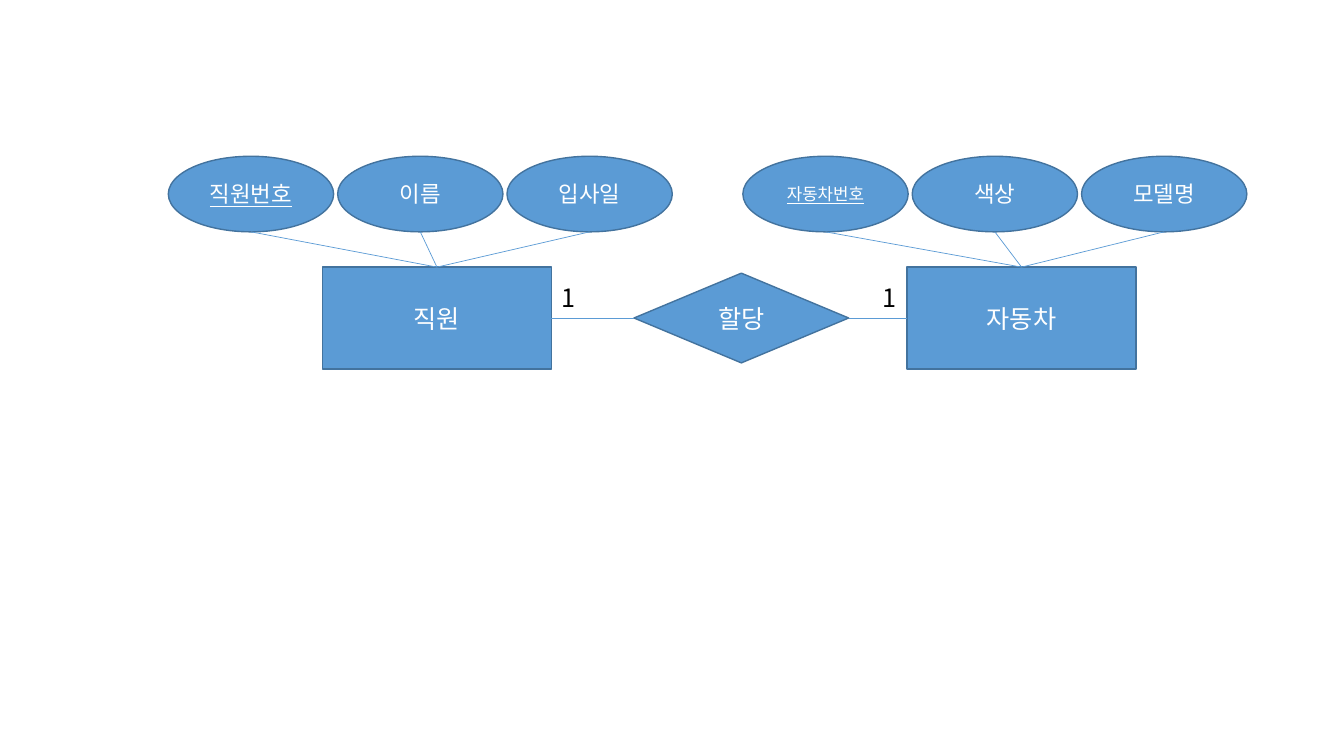
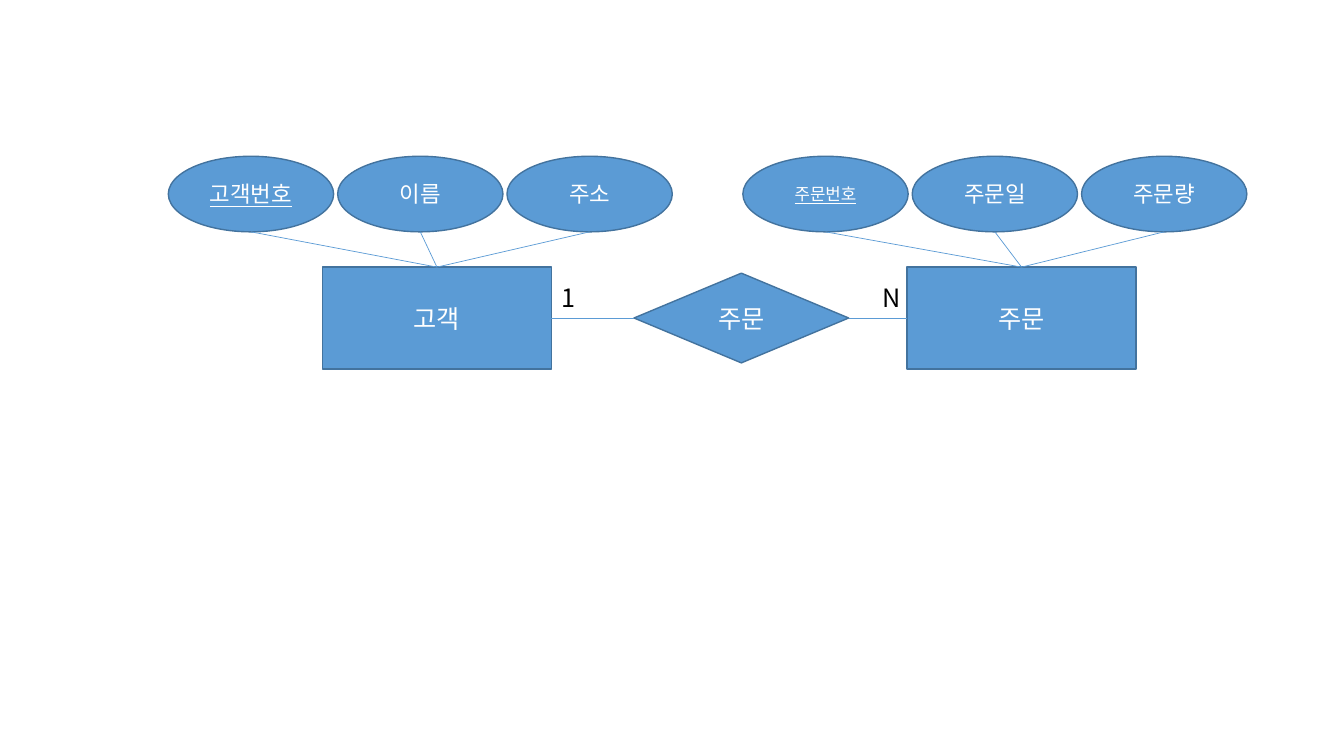
"""Build two entity-relationship diagrams, one per slide."""
from lxml.etree import SubElement
from pptx import Presentation
from pptx.dml.color import RGBColor
from pptx.enum.shapes import MSO_CONNECTOR as Connector, MSO_SHAPE as Shape
from pptx.enum.text import MSO_ANCHOR as Anchor, MSO_AUTO_SIZE as AutoSize, PP_ALIGN as Align
from pptx.oxml.ns import qn
from pptx.util import Pt

DIAGRAMS = [
    {"entities": [("직원", ["직원번호", "이름", "입사일"]),
                  ("자동차", ["자동차번호", "색상", "모델명"])],
     "relation": "할당", "cardinalities": ["1", "1"]},
    {"entities": [("고객", ["고객번호", "이름", "주소"]),
                  ("주문", ["주문번호", "주문일", "주문량"])],
     "relation": "주문", "cardinalities": ["1", "N"]},
]

FONT = "Noto Sans CJK KR"
BLUE = RGBColor(0x5B, 0x9B, 0xD5)
OUTLINE = RGBColor(0x43, 0x73, 0x9E)
WHITE = RGBColor(0xFF, 0xFF, 0xFF)
BLACK = RGBColor(0, 0, 0)

ENTITY_LEFTS = [230.4, 648]
ENTITY_TOP, ENTITY_WIDTH, ENTITY_HEIGHT = 190.8, 163.44, 72.72
ATTRIBUTE_LEFTS = [120.24, 530.64]
ATTRIBUTE_TOP, ATTRIBUTE_WIDTH, ATTRIBUTE_HEIGHT = 111.6, 118.08, 54
ATTRIBUTE_PITCH = 120.96
RELATION_LEFT, RELATION_WIDTH, RELATION_HEIGHT = 452.88, 153.36, 64.08
LABEL_LEFTS, LABEL_TOP, LABEL_HEIGHT = [393.84, 623.52], 198, 28.8
LABEL_WIDTHS = {"1": 24.48, "N": 28.08}
ENTITY_SIZE, ATTRIBUTE_SIZE, KEY_SIZES = 18, 16, [16, 12]
MIDDLE = ENTITY_TOP + ENTITY_HEIGHT / 2


def write_text(shape, text, size, color, underline=None):
    paragraph = shape.text_frame.paragraphs[0]
    paragraph.text = text
    font = paragraph.runs[0].font
    font.name, font.size, font.underline = FONT, Pt(size), underline
    font.color.rgb = color
    properties = paragraph.runs[0]._r.get_or_add_rPr()
    SubElement(properties, qn("a:ea")).set("typeface", FONT)
    return paragraph


def add_node(slide, kind, box, text, size, underline=None):
    shape = slide.shapes.add_shape(kind, *map(Pt, box))
    shape.shadow.inherit = False
    shape.fill.solid()
    shape.fill.fore_color.rgb = BLUE
    shape.line.color.rgb = OUTLINE
    shape.line.width = Pt(1)
    shape.text_frame.word_wrap = True
    shape.text_frame.vertical_anchor = Anchor.MIDDLE
    write_text(shape, text, size, WHITE, underline).alignment = Align.CENTER


def add_line(slide, *ends):
    line = slide.shapes.add_connector(Connector.STRAIGHT, *map(Pt, ends))
    line.line.color.rgb = BLUE
    line.line.width = Pt(0.5)
    SubElement(line._element.spPr, qn("a:effectLst"))


def add_entity(slide, side, name, attributes):
    left = ENTITY_LEFTS[side]
    add_node(slide, Shape.RECTANGLE, (left, ENTITY_TOP, ENTITY_WIDTH, ENTITY_HEIGHT),
             name, ENTITY_SIZE)
    for index, attribute in enumerate(attributes):
        is_key = index == 0
        attribute_left = ATTRIBUTE_LEFTS[side] + index * ATTRIBUTE_PITCH
        add_node(slide, Shape.OVAL,
                 (attribute_left, ATTRIBUTE_TOP, ATTRIBUTE_WIDTH, ATTRIBUTE_HEIGHT),
                 attribute, KEY_SIZES[side] if is_key else ATTRIBUTE_SIZE, is_key or None)
        add_line(slide, attribute_left + ATTRIBUTE_WIDTH / 2, ATTRIBUTE_TOP + ATTRIBUTE_HEIGHT,
                 left + ENTITY_WIDTH / 2, ENTITY_TOP)


def add_cardinality(slide, left, text):
    box = (left, LABEL_TOP, LABEL_WIDTHS[text], LABEL_HEIGHT)
    label = slide.shapes.add_textbox(*map(Pt, box))
    label.text_frame.word_wrap = False
    label.text_frame.auto_size = AutoSize.SHAPE_TO_FIT_TEXT
    write_text(label, text, ENTITY_SIZE, BLACK)


def add_diagram(slide, diagram):
    for side, (name, attributes) in enumerate(diagram["entities"]):
        add_entity(slide, side, name, attributes)
    add_node(slide, Shape.DIAMOND,
             (RELATION_LEFT, MIDDLE - RELATION_HEIGHT / 2, RELATION_WIDTH, RELATION_HEIGHT),
             diagram["relation"], ENTITY_SIZE)
    add_line(slide, ENTITY_LEFTS[0] + ENTITY_WIDTH, MIDDLE, RELATION_LEFT, MIDDLE)
    add_line(slide, RELATION_LEFT + RELATION_WIDTH, MIDDLE, ENTITY_LEFTS[1], MIDDLE)
    for left, text in zip(LABEL_LEFTS, diagram["cardinalities"]):
        add_cardinality(slide, left, text)


presentation = Presentation()
presentation.slide_width, presentation.slide_height = Pt(960), Pt(540)
blank_layout = presentation.slide_layouts[6]
for diagram in DIAGRAMS:
    add_diagram(presentation.slides.add_slide(blank_layout), diagram)
presentation.save("out.pptx")
